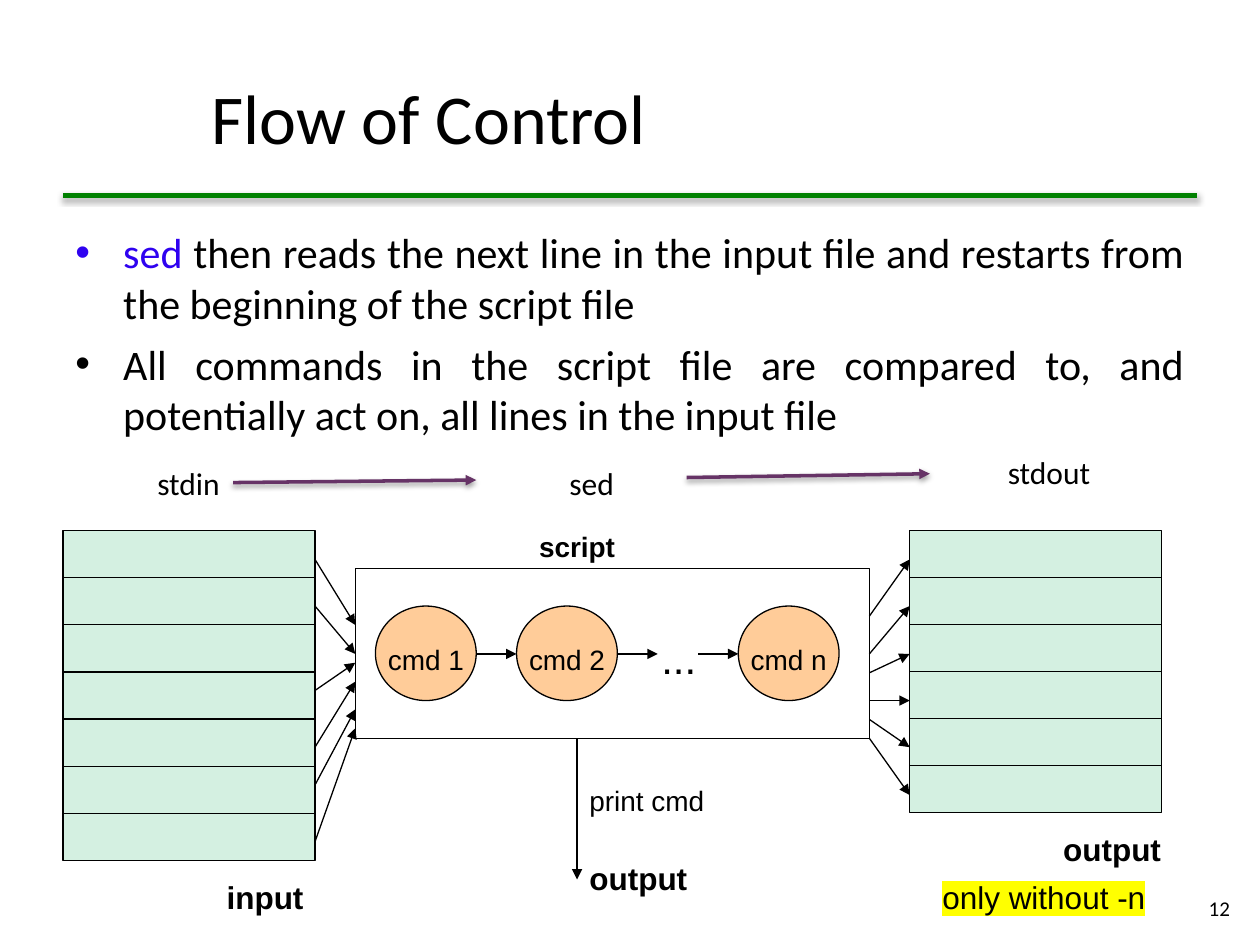
from dataclasses import dataclass
from lxml.etree import SubElement as Sub
from pptx import Presentation as Deck
from pptx.dml.color import RGBColor as Rgb
from pptx.enum.shapes import MSO_CONNECTOR as Link, MSO_SHAPE as Form
from pptx.enum.text import MSO_ANCHOR as Anchor, PP_ALIGN as Align
from pptx.oxml.ns import qn
from pptx.util import Inches, Pt


@dataclass(frozen=True)
class Theme:
    ink: str = "000000"
    blue: str = "2F02F0"
    green: str = "008000"
    plum: str = "663366"
    mint: str = "D4F0E1"
    peach: str = "FFCC99"
    mark: str = "FFFF00"
    head: str = "Calibri"
    label: str = "Arial"
    title: int = 40
    body: int = 24
    large: int = 18
    small: int = 16
    page: int = 12
    thin: float = 0.75


def put(para, text, *, font, size, color, bold=False, mark=None):
    run = para.add_run()
    run.text = text
    run.font.name = font
    run.font.size = Pt(size)
    run.font.bold = bold
    run.font.color.rgb = Rgb.from_string(color)
    if mark:
        fill = run._r.rPr.find(qn("a:solidFill"))
        glow = Sub(run._r.rPr, qn("a:highlight"))
        Sub(glow, qn("a:srgbClr"), val=mark)
        fill.addnext(glow)


class Page:
    def __init__(self, slide, theme):
        self.slide = slide
        self.theme = theme

    def frame(self, x, y, w, h, anchor=Anchor.TOP):
        box = self.slide.shapes.add_textbox(
            Inches(x), Inches(y), Inches(w), Inches(h))
        box.text_frame.word_wrap = True
        box.text_frame.vertical_anchor = anchor
        return box.text_frame

    def text(self, words, x, y, w, h, *, anchor=Anchor.TOP,
             align=Align.LEFT, font=None, size=None, **style):
        para = self.frame(x, y, w, h, anchor).paragraphs[0]
        para.alignment = align
        put(para, words, font=font or self.theme.label,
            size=size or self.theme.small, color=self.theme.ink, **style)

    def list(self, items, x, y, w, h):
        frame = self.frame(x, y, w, h)
        for i, parts in enumerate(items):
            para = frame.add_paragraph() if i else frame.paragraphs[0]
            para.alignment = Align.JUSTIFY
            para.space_after = Pt(6)
            props = para._p.get_or_add_pPr()
            props.set("marL", str(Inches(0.38)))
            props.set("indent", str(-Inches(0.38)))
            tint = Sub(props, qn("a:buClr"))
            Sub(tint, qn("a:srgbClr"), val=parts[0][1])
            Sub(props, qn("a:buFont"), typeface="Arial")
            Sub(props, qn("a:buChar"), char="•")
            for words, color in parts:
                put(para, words, font=self.theme.head,
                    size=self.theme.body, color=color)

    def shape(self, form, x, y, w, h, fill=None):
        item = self.slide.shapes.add_shape(
            form, Inches(x), Inches(y), Inches(w), Inches(h))
        item.shadow.inherit = False
        if fill:
            item.fill.solid()
            item.fill.fore_color.rgb = Rgb.from_string(fill)
        else:
            item.fill.background()
        item.line.color.rgb = Rgb.from_string(self.theme.ink)
        item.line.width = Pt(self.theme.thin)

    def line(self, x1, y1, x2, y2, *, color=None, width=None,
             arrow=False, shade=False):
        item = self.slide.shapes.add_connector(
            Link.STRAIGHT, Inches(x1), Inches(y1), Inches(x2), Inches(y2))
        item.line.color.rgb = Rgb.from_string(color or self.theme.ink)
        item.line.width = Pt(width or self.theme.thin)
        if arrow:
            Sub(item.line._get_or_add_ln(), qn("a:tailEnd"), type="triangle")
        fx = Sub(item._element.spPr, qn("a:effectLst"))
        if shade:
            cast = Sub(fx, qn("a:outerShdw"), blurRad=str(Pt(3.1)),
                       dist=str(Pt(1.6)), dir="5400000", rotWithShape="0")
            tint = Sub(cast, qn("a:srgbClr"), val=self.theme.ink)
            Sub(tint, qn("a:alpha"), val="38000")

    def stack(self, x, y, w, h, rows):
        self.shape(Form.RECTANGLE, x, y, w, h, self.theme.mint)
        for i in range(1, rows):
            level = y + h * i / rows
            self.line(x, level, x + w, level)

    def fan(self, x1, x2, pairs):
        for y1, y2 in pairs:
            self.line(x1, y1, x2, y2, arrow=True)


def main():
    deck = Deck()
    deck.slide_width, deck.slide_height = Inches(10), Inches(7.5)
    theme = Theme()
    page = Page(deck.slides.add_slide(deck.slide_layouts[6]), theme)

    page.text("12", 9.36, 7.01, 0.5, 0.4, anchor=Anchor.MIDDLE,
              align=Align.RIGHT, font=theme.head, size=theme.page)
    page.text("Flow of Control", 1.58, 0.3, 8.27, 1.25,
              anchor=Anchor.MIDDLE, font=theme.head, size=theme.title)
    page.line(0.5, 1.55, 9.5, 1.55, color=theme.green, width=3, shade=True)
    page.list([
        [("sed ", theme.blue),
         ("then reads the next line in the input file and restarts from "
          "the beginning of the script file", theme.ink)],
        [("All commands in the script file are compared to, and "
          "potentially act on, all lines in the input file", theme.ink)],
    ], 0.5, 1.75, 9, 1.85)

    page.stack(0.5, 4.21, 2, 2.62, 7)
    page.stack(7.22, 4.21, 2, 2.24, 6)
    page.shape(Form.RECTANGLE, 2.82, 4.51, 4.08, 1.35)
    for name, x in (("cmd 1", 2.98), ("cmd 2", 4.1), ("cmd n", 5.86)):
        page.shape(Form.OVAL, x, 4.81, 0.8, 0.75, theme.peach)
        page.text(name, x, 5.05, 0.88, 0.34)
    for x in (3.78, 4.9, 5.54):
        page.line(x, 5.19, x + 0.32, 5.19, arrow=True)
    page.text("...", 5.15, 4.97, 0.6, 0.46, size=theme.body)

    page.fan(2.5, 2.82, [(4.44, 4.96), (4.81, 5.19), (5.48, 5.26),
                         (5.93, 5.41), (6.23, 5.63), (6.68, 5.78)])
    page.fan(6.9, 7.22, [(4.89, 4.44), (5.19, 4.81), (5.34, 5.19),
                         (5.56, 5.56), (5.71, 5.93), (5.86, 6.31)])
    page.line(4.58, 5.86, 4.58, 6.98, arrow=True)

    page.text("script", 4.18, 4.15, 0.88, 0.34, bold=True)
    page.text("print cmd", 4.58, 6.17, 1.44, 0.33)
    for name, x, y, w in (("input", 1.7, 6.92, 0.88),
                          ("output", 8.34, 6.54, 1.04),
                          ("output", 4.58, 6.77, 1.2)):
        page.text(name, x, y, w, 0.36, size=theme.large, bold=True)
    page.text("only without -n", 7.38, 6.92, 2.08, 0.4,
              size=theme.large, mark=theme.mark)

    for name, x, y in (("stdin", 1.15, 3.63), ("sed", 4.42, 3.63),
                       ("stdout", 7.9, 3.55)):
        page.text(name, x, y, 0.9, 0.4, font=theme.head, size=theme.large)
    for x, y1, y2 in ((1.85, 3.83, 3.81), (5.45, 3.79, 3.76)):
        page.line(x, y1, x + 1.93, y2, color=theme.plum, width=2,
                  arrow=True, shade=True)

    deck.save("out.pptx")


if __name__ == "__main__":
    main()
